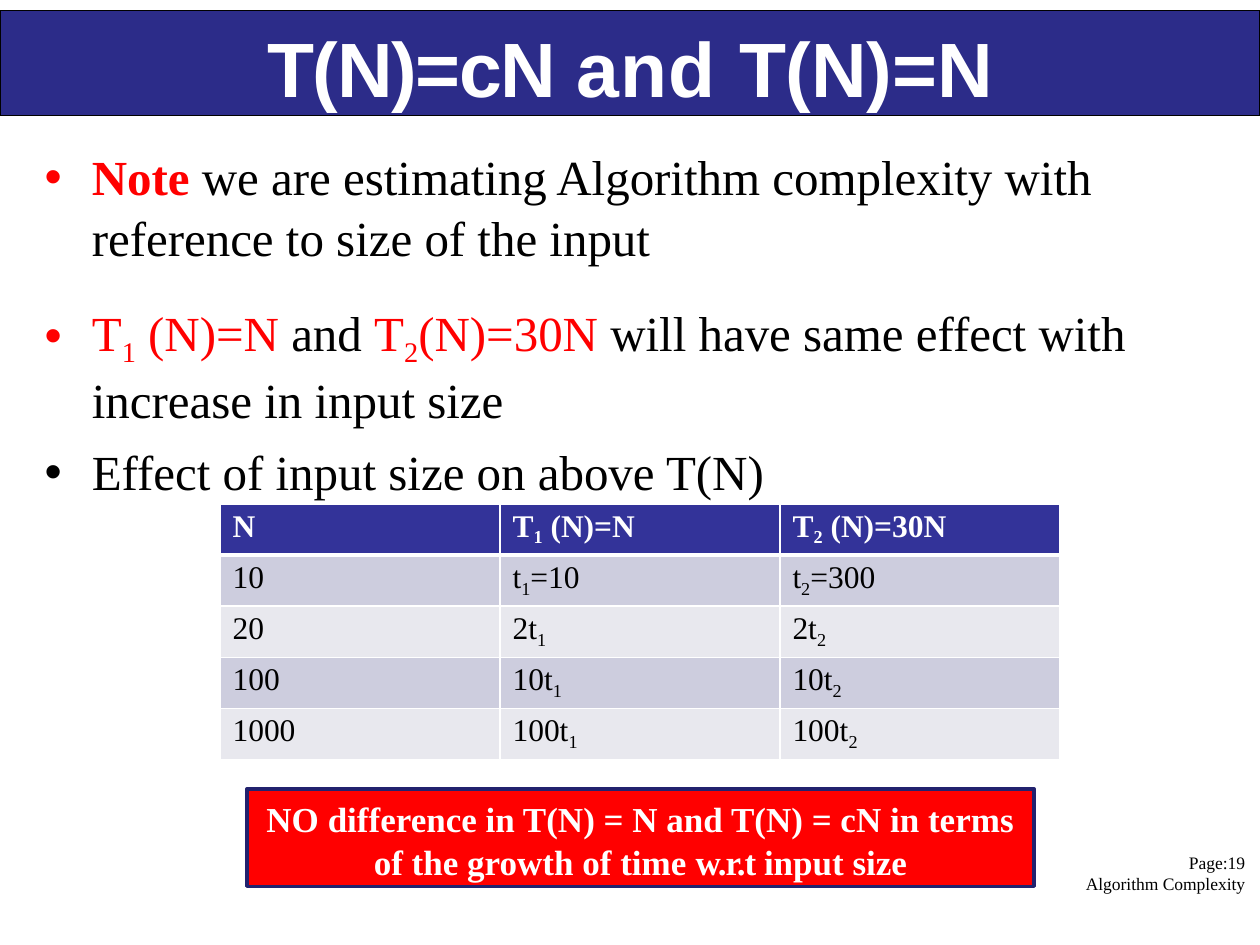
from dataclasses import dataclass

from lxml import etree
from pptx import Presentation
from pptx.dml.color import RGBColor
from pptx.enum import shapes, text
from pptx.oxml import ns
from pptx.util import Pt

COLORS = {
    "bar": "2C2C89", "header": "333399", "odd": "CDCDDE", "even": "E8E8EE",
    "red": "FF0000", "outline": "22226E", "white": "FFFFFF", "black": "000000",
}
SERIF = "Times New Roman"


@dataclass
class Span:
    """Text in one colour; an underscore lowers the character after it."""
    words: str
    color: str = "black"
    bold: bool = False
    spacing: float = 0


@dataclass
class Bullet:
    spans: list[Span]
    space_before: float = 0


@dataclass
class Box:
    left: float
    top: float
    width: float
    height: float

    def lengths(self) -> tuple:
        return Pt(self.left), Pt(self.top), Pt(self.width), Pt(self.height)


def rgb(name: str) -> RGBColor:
    return RGBColor.from_string(COLORS[name])


def add_spans(para, spans: list[Span], size: float, font: str = SERIF) -> None:
    for span in spans:
        plain, *lowered = span.words.split("_")
        pieces = [(plain, False)]
        for part in lowered:
            pieces += [(part[0], True), (part[1:], False)]
        for words, is_low in pieces:
            if not words:
                continue
            run = para.add_run()
            run.text = words
            run.font.name, run.font.size = font, Pt(size)
            run.font.bold = span.bold
            run.font.color.rgb = rgb(span.color)
            properties = run.font._element
            if is_low:
                properties.set("baseline", "-21000")
            if span.spacing:
                properties.set("spc", str(round(span.spacing * 100)))


def prepare_frame(shape, top_inset: float = 0):
    frame = shape.text_frame
    frame.word_wrap = True
    frame.auto_size = text.MSO_AUTO_SIZE.NONE
    frame.vertical_anchor = text.MSO_ANCHOR.TOP
    frame.margin_left = frame.margin_right = frame.margin_bottom = 0
    frame.margin_top = Pt(top_inset)
    return frame


def place(shape, box: Box) -> None:
    shape.left, shape.top, shape.width, shape.height = box.lengths()


def add_panel(page, box: Box, fill: str, line: str, line_width: float):
    panel = page.shapes.add_shape(shapes.MSO_SHAPE.RECTANGLE, *box.lengths())
    panel.shadow.inherit = False
    panel.fill.solid()
    panel.fill.fore_color.rgb = rgb(fill)
    panel.line.color.rgb = rgb(line)
    panel.line.width = Pt(line_width)
    return panel


def add_lines(frame, lines: list[list[Span]], size: float, align, spacing) -> None:
    for index, spans in enumerate(lines):
        para = frame.add_paragraph() if index else frame.paragraphs[0]
        para.alignment, para.line_spacing = align, spacing
        add_spans(para, spans, size)


def add_bullets(frame, bullets: list[Bullet]) -> None:
    for index, bullet in enumerate(bullets):
        para = frame.add_paragraph() if index else frame.paragraphs[0]
        properties = para._p.get_or_add_pPr()
        properties.set("marL", str(Pt(30)))
        properties.set("indent", str(-Pt(27)))
        etree.SubElement(properties, ns.qn("a:buChar")).set("char", "•")
        para.space_before = Pt(bullet.space_before)
        para.line_spacing = 1.03
        add_spans(para, bullet.spans, 28)


def set_borders(cell, widths: dict[str, float]) -> None:
    properties = cell._tc.get_or_add_tcPr()
    for side, width in widths.items():
        line = etree.SubElement(properties, ns.qn(f"a:ln{side}"), w=str(Pt(width)))
        fill = etree.SubElement(line, ns.qn("a:solidFill"))
        etree.SubElement(fill, ns.qn("a:srgbClr"), val=COLORS["white"])


def add_growth_table(page, box: Box, rows: list[tuple[str, ...]]) -> None:
    table = page.shapes.add_table(len(rows), len(rows[0]), *box.lengths()).table
    for row_index, row in enumerate(rows):
        is_header = row_index == 0
        fill = "header" if is_header else ("odd" if row_index % 2 else "even")
        for column_index, words in enumerate(row):
            cell = table.cell(row_index, column_index)
            set_borders(cell, {"L": 1, "R": 1, "T": 3 if row_index == 1 else 1,
                               "B": 3 if is_header else 1})
            cell.fill.solid()
            cell.fill.fore_color.rgb = rgb(fill)
            cell.margin_left, cell.margin_top = Pt(7.2), Pt(3)
            cell.margin_right = cell.margin_bottom = 0
            color = "white" if is_header else "black"
            add_spans(cell.text_frame.paragraphs[0], [Span(words, color, is_header)], 18)


def main() -> None:
    deck = Presentation()
    deck.slide_width, deck.slide_height = Pt(720), Pt(540)
    page = deck.slides.add_slide(deck.slide_layouts[1])
    title, body = page.placeholders[0], page.placeholders[1]

    # Title on its bar, with the bar sent to the back
    bar = add_panel(page, Box(0, 6, 720, 60), "bar", "black", 0.75)
    page.shapes._spTree.insert(2, bar._element)
    place(title, Box(36, 6, 648, 57))
    heading = prepare_frame(title, 5.5).paragraphs[0]
    heading.alignment = text.PP_ALIGN.CENTER
    add_spans(heading, [Span("T(N)=cN ", "white", True, -0.8),
                        Span("and ", "white", True, 0.6),
                        Span("T(N)=N", "white", True, -0.1)], 44, "Arial")

    # Bulleted list
    place(body, Box(22.5, 80, 625, 200))
    add_bullets(prepare_frame(body, 3), [
        Bullet([Span("Note ", "red", True),
                Span("we are estimating Algorithm complexity with "
                     "reference to size of the input")]),
        Bullet([Span("T_1 (N)=N ", "red"), Span("and "), Span("T_2(N)=30N ", "red"),
                Span("will have same effect with increase in input size")], 19.7),
        Bullet([Span("Effect of input size on above T(N)")], 6.8),
    ])

    # Growth table: each later row is a multiple of the first one
    multiples = [(20, 2), (100, 10), (1000, 100)]
    add_growth_table(page, Box(125.7, 288, 480, 146), [
        ("N", "T_1 (N)=N", "T_2 (N)=30N"),
        ("10", "t_1=10", "t_2=300"),
        *[(str(size), f"{factor}t_1", f"{factor}t_2") for size, factor in multiples],
    ])

    # Conclusion
    conclusion = add_panel(page, Box(141, 451, 450, 55.5), "red", "outline", 2)
    add_lines(prepare_frame(conclusion, 4), [
        [Span("NO difference in T(N) = N and T(N) = cN in terms", "white", True)],
        [Span("of the growth of time ", "white", True),
         Span("w.r.t ", "white", True, -0.6), Span("input size", "white", True)],
    ], 20, text.PP_ALIGN.CENTER, 1.03)

    # Page label
    label = page.shapes.add_textbox(*Box(600, 487, 111.5, 24).lengths())
    add_lines(prepare_frame(label), [[Span("Page:19")], [Span("Algorithm Complexity")]],
              10, text.PP_ALIGN.RIGHT, Pt(12))

    deck.save("out.pptx")


if __name__ == "__main__":
    main()
